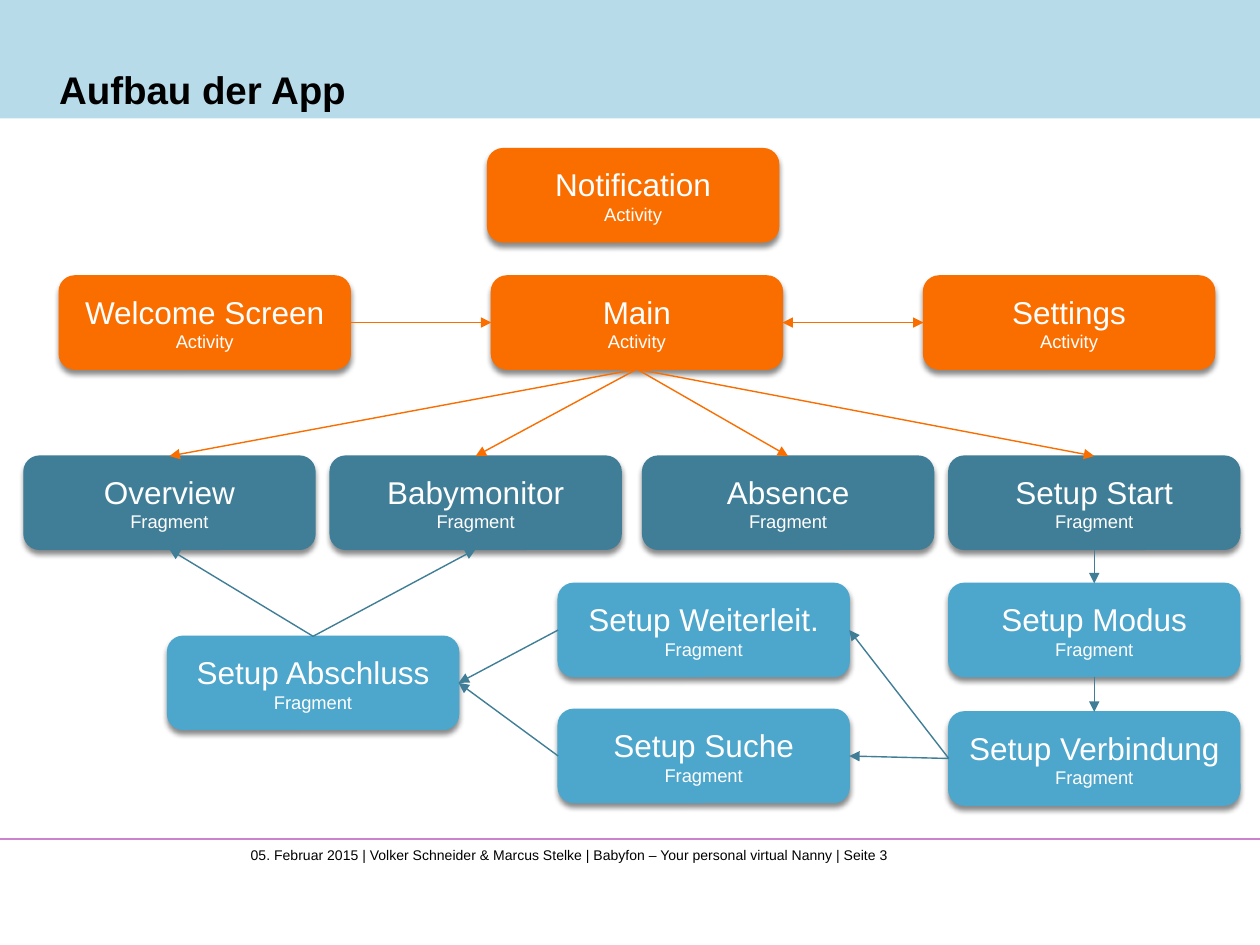
from lxml import etree
from pptx import Presentation
from pptx.dml.color import RGBColor
from pptx.enum.shapes import MSO_CONNECTOR, MSO_SHAPE
from pptx.enum.text import MSO_ANCHOR, PP_ALIGN
from pptx.oxml import parse_xml
from pptx.oxml.ns import nsdecls, qn
from pptx.util import Inches, Pt

STRAIGHT = MSO_CONNECTOR.STRAIGHT
RECT, ROUNDED = MSO_SHAPE.RECTANGLE, MSO_SHAPE.ROUNDED_RECTANGLE
LEFT, CENTER = PP_ALIGN.LEFT, PP_ALIGN.CENTER
TOP, MIDDLE, BOTTOM = MSO_ANCHOR.TOP, MSO_ANCHOR.MIDDLE, MSO_ANCHOR.BOTTOM
SIDES = {"top": 0, "left": 1, "bottom": 2, "right": 3}

COLORS = {
    "band": "B8DBEA", "rule": "CB83CB", "text": "000000", "white": "FFFFFF",
    "activity": "FA6E00", "main": "407E97", "setup": "4DA6CB",
}
FONT = "Arial"
BOX_W, BOX_H = 2.31, 0.74

# Content
TITLE = "Aufbau der App"
FOOTER = ("05. Februar 2015 | Volker Schneider & Marcus Stelke | "
          "Babyfon – Your personal virtual Nanny | Seite 3")

# Groups of boxes: colour, caption, [(name, left, top)]
GROUPS = [
    ("activity", "Activity", [
        ("Notification", 3.87, 1.18),
        ("Welcome Screen", 0.47, 2.19),
        ("Main", 3.9, 2.19),
        ("Settings", 7.33, 2.19),
    ]),
    ("main", "Fragment", [
        ("Overview", 0.19, 3.62),
        ("Babymonitor", 2.62, 3.62),
        ("Absence", 5.1, 3.62),
        ("Setup Start", 7.53, 3.62),
    ]),
    ("setup", "Fragment", [
        ("Setup Modus", 7.53, 4.63),
        ("Setup Verbindung", 7.53, 5.65),
        ("Setup Suche", 4.43, 5.63),
        ("Setup Abschluss", 1.33, 5.05),
        ("Setup Weiterleit.", 4.43, 4.63),
    ]),
]

# Arrows: colour, from side, to side, both ends, [(from, to)]
ARROWS = [
    ("activity", "right", "left", False, [("Welcome Screen", "Main")]),
    ("activity", "right", "left", True, [("Main", "Settings")]),
    ("activity", "bottom", "top", False, [
        ("Main", "Overview"), ("Main", "Babymonitor"),
        ("Main", "Setup Start"), ("Main", "Absence")]),
    ("main", "top", "bottom", False, [
        ("Setup Abschluss", "Overview"), ("Setup Abschluss", "Babymonitor")]),
    ("main", "left", "right", False, [
        ("Setup Weiterleit.", "Setup Abschluss"),
        ("Setup Suche", "Setup Abschluss"),
        ("Setup Verbindung", "Setup Weiterleit."),
        ("Setup Verbindung", "Setup Suche")]),
    ("main", "bottom", "top", False, [
        ("Setup Start", "Setup Modus"), ("Setup Modus", "Setup Verbindung")]),
]


def rgb(name):
    return RGBColor.from_string(COLORS[name])


def write(sp, lines, color="text", bold=False, align=LEFT, anchor=TOP,
          inset=None, wrap=True):
    """Fill a shape with (text, size) lines, one paragraph each."""
    tf = sp.text_frame
    tf.word_wrap, tf.vertical_anchor = wrap, anchor
    if inset is not None:
        tf.margin_left = tf.margin_right = Inches(inset)
        tf.margin_top = tf.margin_bottom = Inches(inset)
    for i, (text, size) in enumerate(lines):
        p = tf.add_paragraph() if i else tf.paragraphs[0]
        p.alignment = align
        r = p.add_run()
        r.text = text
        r.font.name, r.font.size, r.font.bold = FONT, Pt(size), bold
        r.font.color.rgb = rgb(color)


def add_box(s, name, caption, left, top, color):
    sp = s.shapes.add_shape(ROUNDED, Inches(left), Inches(top),
                            Inches(BOX_W), Inches(BOX_H))
    sp.fill.solid()
    sp.fill.fore_color.rgb = sp.line.color.rgb = rgb(color)
    sp.line.width = Pt(0.79)
    sp.shadow.inherit = False
    effects = sp._element.spPr.find(qn("a:effectLst"))
    effects.append(parse_xml(
        f'<a:outerShdw {nsdecls("a")} blurRad="{Pt(3)}" dist="{Pt(2.4)}" '
        'dir="5400000" rotWithShape="0"><a:srgbClr val="000000">'
        '<a:alpha val="45000"/></a:srgbClr></a:outerShdw>'))
    write(sp, [(name, 18), (caption, 10.5)], color="white",
          align=CENTER, anchor=MIDDLE)
    return sp


def add_line(s, color, width, x1=0, y1=0, x2=0, y2=0):
    line = s.shapes.add_connector(STRAIGHT, Inches(x1), Inches(y1),
                                  Inches(x2), Inches(y2))
    line.line.color.rgb, line.line.width = rgb(color), Pt(width)
    etree.SubElement(line._element.spPr, qn("a:effectLst"))
    return line


def add_arrow(s, start, start_side, end, end_side, color, both):
    line = add_line(s, color, 0.79)
    line.begin_connect(start, SIDES[start_side])
    line.end_connect(end, SIDES[end_side])
    for tag in ["a:headEnd", "a:tailEnd"] if both else ["a:tailEnd"]:
        etree.SubElement(line.line._get_or_add_ln(), qn(tag), type="triangle")


def main():
    prs = Presentation()
    prs.slide_width, prs.slide_height = Inches(10), Inches(7.5)
    s = prs.slides.add_slide(prs.slide_layouts[6])

    # Title band and footer
    band = s.shapes.add_shape(RECT, 0, 0, Inches(10), Inches(0.94))
    band.fill.solid()
    band.fill.fore_color.rgb = rgb("band")
    band.line.fill.background()
    band.shadow.inherit = False
    add_line(s, "rule", 0.75, 0, 6.66, 10, 6.66)
    footer = s.shapes.add_textbox(Inches(1.99), Inches(6.72),
                                  Inches(5.27), Inches(0.27))
    write(footer, [(FOOTER, 8)], inset=0, wrap=False)
    title = s.shapes.add_textbox(Inches(0.47), Inches(0.12),
                                 Inches(9.16), Inches(0.77))
    write(title, [(TITLE, 22)], bold=True, anchor=BOTTOM, inset=0)

    # Boxes, then the arrows between them
    boxes = {}
    for color, caption, items in GROUPS:
        for name, left, top in items:
            boxes[name] = add_box(s, name, caption, left, top, color)
    for color, start_side, end_side, both, pairs in ARROWS:
        for start, end in pairs:
            add_arrow(s, boxes[start], start_side, boxes[end], end_side,
                      color, both)

    prs.save("out.pptx")


if __name__ == "__main__":
    main()
